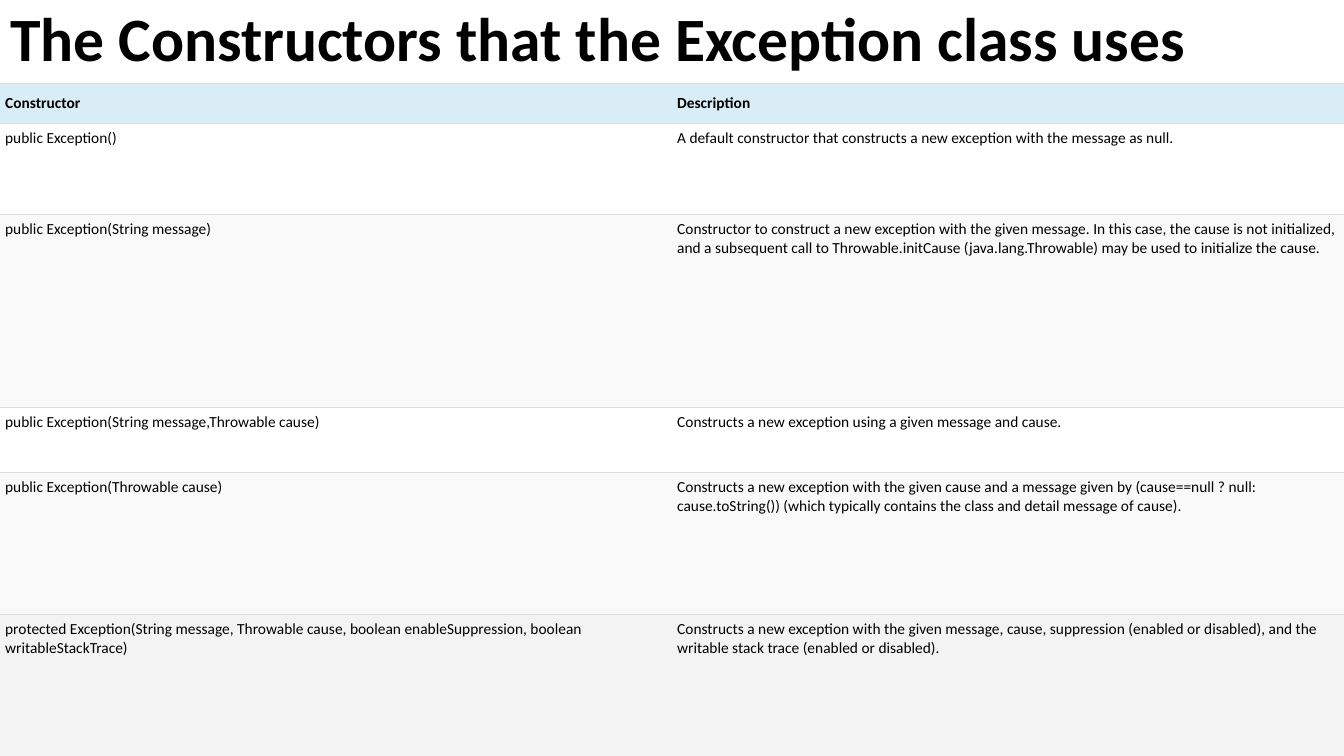
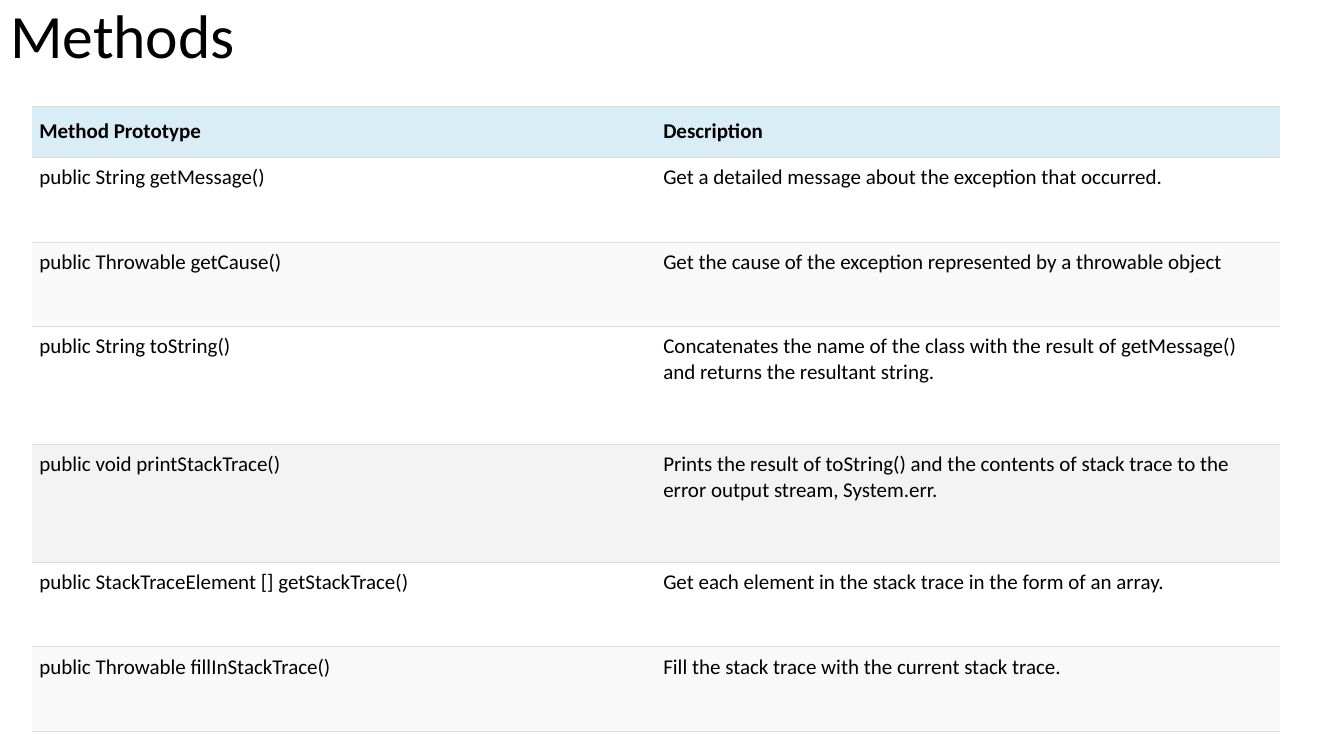
from dataclasses import dataclass

from lxml import etree
from pptx import Presentation
from pptx.dml.color import RGBColor
from pptx.enum.text import MSO_ANCHOR, MSO_AUTO_SIZE, PP_ALIGN
from pptx.oxml.ns import qn
from pptx.util import Cm, Pt

TOP, MIDDLE = MSO_ANCHOR.TOP, MSO_ANCHOR.MIDDLE
LEFT = PP_ALIGN.LEFT
NO_AUTOFIT = MSO_AUTO_SIZE.NONE
TITLE_ONLY = 5


@dataclass(frozen=True)
class Theme:
    font: str = "Calibri"
    text: str = "000000"
    header: str = "D9EDF7"
    bands: tuple = ("FFFFFF", "F9F9F9")
    accent: str = "F3F3F3"
    rule: str = "DDDDDD"
    rule_width: float = 0.75
    title_size: int = 44
    dense_size: int = 11
    body_size: int = 15


class Deck:
    def __init__(self, theme):
        self.theme = theme
        self.prs = Presentation()
        self.prs.slide_width, self.prs.slide_height = Cm(33.87), Cm(19.05)
        self.slide = None

    def add_slide(self):
        self.slide = self.prs.slides.add_slide(self.prs.slide_layouts[TITLE_ONLY])

    def style(self, p, size, bold):
        p.alignment = LEFT
        p.font.name, p.font.size, p.font.bold = self.theme.font, Pt(size), bold
        p.font.color.rgb = RGBColor.from_string(self.theme.text)

    def title(self, text, width, height, anchor, bold=False):
        sp = self.slide.shapes.title
        sp.left, sp.top, sp.width, sp.height = Cm(0), Cm(0), Cm(width), Cm(height)
        tf = sp.text_frame
        tf.text = text
        tf.word_wrap, tf.auto_size, tf.vertical_anchor = True, NO_AUTOFIT, anchor
        p = tf.paragraphs[0]
        p.line_spacing = 0.9
        self.style(p, self.theme.title_size, bold)

    def borders(self, cell):
        """Rule the cell above and below, and leave its sides open."""
        tc_pr = cell._tc.get_or_add_tcPr()
        for i, side in enumerate(("lnL", "lnR", "lnT", "lnB")):
            ln = etree.Element(qn(f"a:{side}"), w=str(Pt(self.theme.rule_width)))
            if side in ("lnT", "lnB"):
                fill = etree.SubElement(ln, qn("a:solidFill"))
                etree.SubElement(fill, qn("a:srgbClr"), val=self.theme.rule)
            else:
                etree.SubElement(ln, qn("a:noFill"))
            tc_pr.insert(i, ln)

    def cell(self, cell, text, color, size, inset, is_header):
        cell.text = text
        cell.margin_left = cell.margin_right = Cm(inset)
        cell.margin_top = cell.margin_bottom = Cm(inset)
        cell.vertical_anchor = MIDDLE if is_header else TOP
        cell.fill.solid()
        cell.fill.fore_color.rgb = RGBColor.from_string(color)
        self.style(cell.text_frame.paragraphs[0], size, is_header)
        self.borders(cell)

    def table(self, rows, heights, left, top, width, size, inset, accent_row):
        cols = len(rows[0])
        table = self.slide.shapes.add_table(
            len(rows), cols, Cm(left), Cm(top), Cm(width), Cm(sum(heights))).table
        for column in table.columns:
            column.width = Cm(width / cols)
        for r, (texts, height) in enumerate(zip(rows, heights)):
            table.rows[r].height = Cm(height)
            if r == 0:
                color = self.theme.header
            elif r == accent_row:
                color = self.theme.accent
            else:
                color = self.theme.bands[(r - 1) % 2]
            for c, text in enumerate(texts):
                self.cell(table.cell(r, c), text, color, size, inset, r == 0)


CONSTRUCTORS = [
    ("Constructor", "Description"),
    ("public Exception()",
     "A default constructor that constructs a new exception with the message as null."),
    ("public Exception(String message)",
     "Constructor to construct a new exception with the given message. In this case, "
     "the cause is not initialized, and a subsequent call to Throwable.initCause "
     "(java.lang.Throwable) may be used to initialize the cause."),
    ("public Exception(String message,Throwable cause)",
     "Constructs a new exception using a given message and cause."),
    ("public Exception(Throwable cause)",
     "Constructs a new exception with the given cause and a message given by "
     "(cause==null ? null: cause.toString()) (which typically contains the class "
     "and detail message of cause)."),
    ("protected Exception(String message, Throwable cause, boolean enableSuppression, "
     "boolean writableStackTrace)",
     "Constructs a new exception with the given message, cause, suppression (enabled "
     "or disabled), and the writable stack trace (enabled or disabled)."),
]

METHODS = [
    ("Method Prototype", "Description"),
    ("public String getMessage()",
     "Get a detailed message about the exception that occurred."),
    ("public Throwable getCause()",
     "Get the cause of the exception represented by a throwable object"),
    ("public String toString()",
     "Concatenates the name of the class with the result of getMessage() and returns "
     "the resultant string."),
    ("public void printStackTrace()",
     "Prints the result of toString() and the contents of stack trace to the error "
     "output stream, System.err."),
    ("public StackTraceElement [] getStackTrace()",
     "Get each element in the stack trace in the form of an array."),
    ("public Throwable fillInStackTrace()",
     "Fill the stack trace with the current stack trace."),
]


def main():
    theme = Theme()
    deck = Deck(theme)

    # Constructors
    deck.add_slide()
    deck.title("The Constructors that the Exception class uses", 33.87, 2.1, MIDDLE,
               bold=True)
    deck.table(CONSTRUCTORS, [1.02, 2.29, 4.85, 1.65, 3.57, 3.57], left=0, top=2.1,
               width=33.87, size=theme.dense_size, inset=0.13, accent_row=5)

    # Methods
    deck.add_slide()
    deck.title("Methods", 29.2, 3.68, TOP)
    one_line, two_lines = 2.13, 2.97
    deck.table(METHODS, [1.3, one_line, one_line, two_lines, two_lines, one_line, one_line],
               left=0.81, top=2.67, width=31.45, size=theme.body_size, inset=0.18,
               accent_row=4)

    deck.prs.save("out.pptx")


if __name__ == "__main__":
    main()
